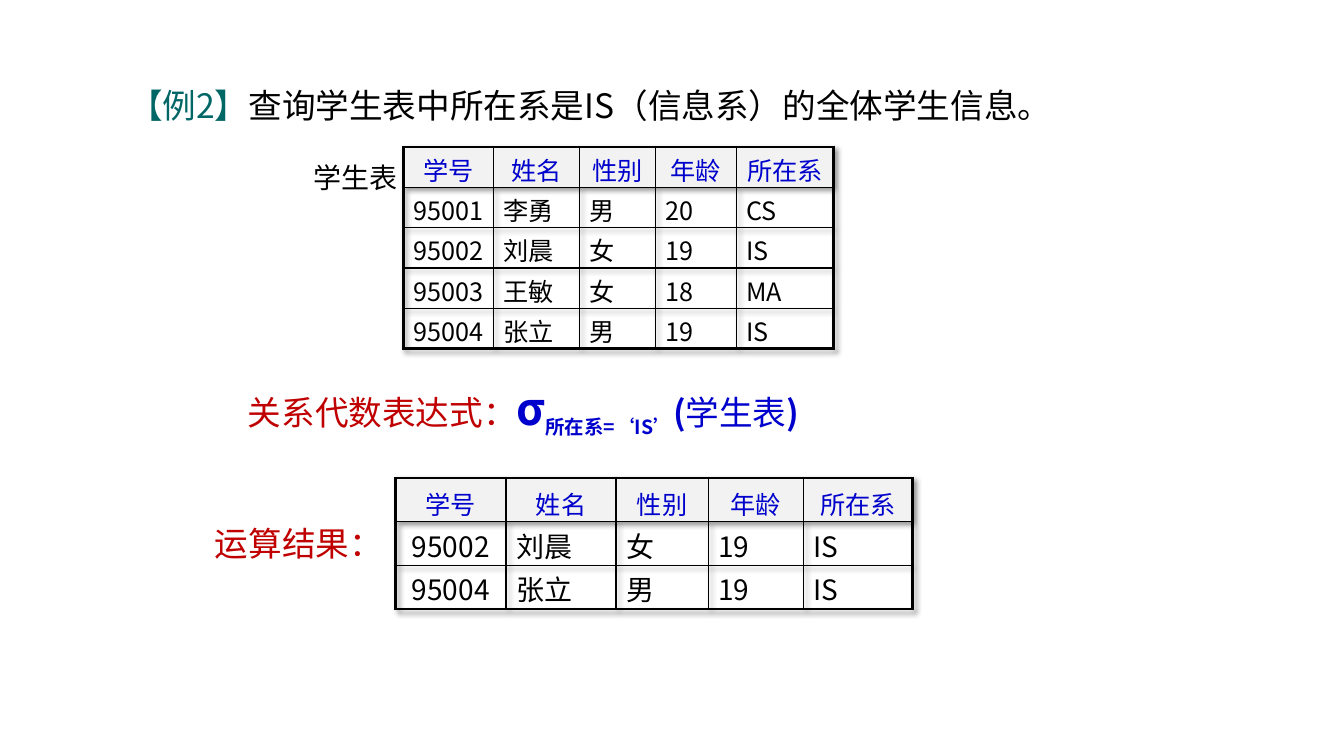
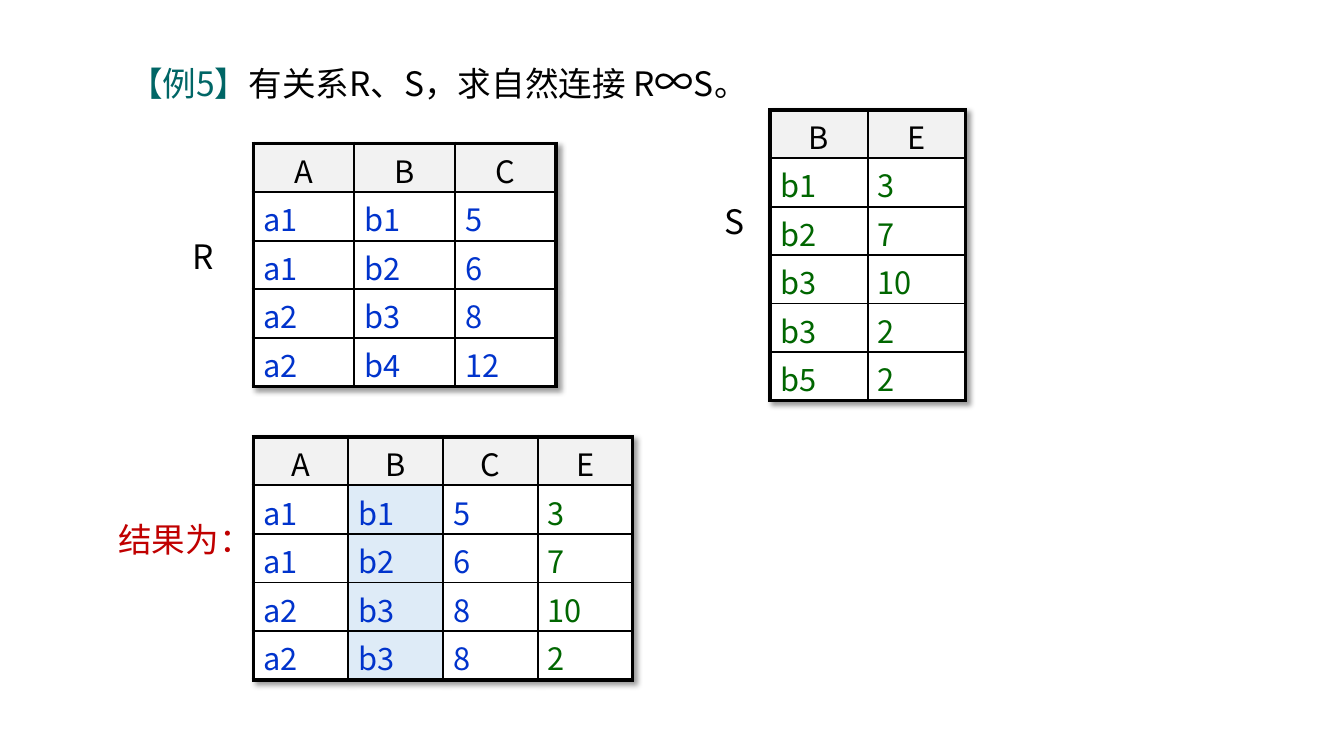
"""Build two slides on relational algebra: selection and natural join."""
from lxml.etree import SubElement
from pptx import Presentation
from pptx.dml.color import RGBColor
from pptx.enum.text import MSO_ANCHOR as Anchor, MSO_AUTO_SIZE as AutoSize, PP_ALIGN as Align
from pptx.oxml import parse_xml
from pptx.oxml.ns import nsdecls, qn
from pptx.util import Pt

FONT = "Noto Sans CJK SC"
BLACK, TEAL, RED, NAVY = "000000", "006666", "C00000", "0000CC"
BLUE, GREEN, GREY, PALE, WHITE = "0033CC", "006600", "F2F2F2", "DEEBF7", "FFFFFF"
SHADOW = (
    f'<a:effectLst {nsdecls("a")}><a:outerShdw blurRad="50800" dist="38100" dir="2700000">'
    '<a:srgbClr val="000000"><a:alpha val="40000"/></a:srgbClr></a:outerShdw></a:effectLst>'
)


def write(frame, spans, align=Align.LEFT):
    """Fill the first paragraph with (text, size, colour, extra formats) spans."""
    para = frame.paragraphs[0]
    para.alignment = align
    for text, size, colour, *extra in spans:
        span = para.add_run()
        span.text = text
        formats = {"size": Pt(size), "name": FONT, "bold": False} | (extra[0] if extra else {})
        baseline = formats.pop("baseline", None)
        for name, value in formats.items():
            setattr(span.font, name, value)
        span.font.color.rgb = RGBColor.from_string(colour)
        props = span._r.get_or_add_rPr()
        SubElement(props, qn("a:ea"), typeface=FONT)
        if baseline:
            props.set("baseline", baseline)


def draw_border(cell, side, width):
    """Draw one black border of a table cell."""
    line = SubElement(cell._tc.get_or_add_tcPr(), qn(f"a:ln{side}"), w=str(Pt(width)))
    fill = SubElement(line, qn("a:solidFill"))
    SubElement(fill, qn("a:srgbClr"), val=BLACK)


students = {
    "95001": ["李勇", "男", "20", "CS"],
    "95002": ["刘晨", "女", "19", "IS"],
    "95003": ["王敏", "女", "18", "MA"],
    "95004": ["张立", "男", "19", "IS"],
}
student_rows = [[number, *values] for number, values in students.items()]
student_style = {
    "header": ["学号", "姓名", "性别", "年龄", "所在系"], "header_size": 18,
    "header_colour": NAVY, "colours": [BLACK] * 5, "fills": [None] * 5,
    "first_align": Align.CENTER, "lines": (2.25, 1),
}
relation_style = {
    "header_size": 22, "size": 22, "header_colour": BLACK,
    "first_align": Align.LEFT, "lines": (3, 1.5),
}
bold = {"bold": True}

slides = [
    {
        "title": (85, 57, 807, 36),
        "heading": [("【例2】", 24, TEAL), ("查询学生表中所在系是IS（信息系）的全体学生信息。", 24, BLACK)],
        "labels": [
            ((145, 370, 137, 36), Align.CENTER, [("运算结果：", 24, RED)]),
            ((212, 111, 84, 36), Align.CENTER, [("学生表", 20, BLACK)]),
            ((170, 268.5, 552, 46), Align.LEFT, [
                ("关系代数表达式：", 24, RED),
                ("σ", 32, NAVY, bold),
                ("所在系=‘IS’", 24, NAVY, bold | {"baseline": "-25000"}),
                ("(", 24, NAVY, bold),
                ("学生表", 24, NAVY),
                (")", 24, NAVY, bold),
            ]),
        ],
        "tables": [
            student_style | {
                "place": (288, 105), "widths": [64.5, 61.5, 54, 58, 69.5], "height": 28.8,
                "size": 18, "rows": student_rows,
            },
            student_style | {
                "place": (282.5, 341.5), "widths": [79, 78.5, 66, 68, 78], "height": 31.2,
                "size": 20, "rows": [row for row in student_rows if row[-1] == "IS"],
            },
        ],
    },
    {
        "title": (85, 37.5, 505, 41),
        "heading": [
            ("【例5】", 24, TEAL), ("有关系R、S，求自然连接 R", 24, BLACK),
            ("∞", 28, BLACK), ("S。", 24, BLACK),
        ],
        "labels": [
            ((76, 367, 113, 42), Align.CENTER, [("结果为：", 24, RED)]),
            ((121, 165, 48, 42), Align.CENTER, [("R", 24, BLACK)]),
            ((501, 140, 48, 42), Align.CENTER, [("S", 24, BLACK)]),
        ],
        "tables": [
            relation_style | {
                "place": (181, 312), "widths": [67.7] * 4, "height": 34.7, "header": "ABCE",
                "colours": [BLUE, BLUE, BLUE, GREEN], "fills": [WHITE, PALE, WHITE, WHITE],
                "rows": [["a1", "b1", "5", "3"], ["a1", "b2", "6", "7"],
                         ["a2", "b3", "8", "10"], ["a2", "b3", "8", "2"]],
            },
            relation_style | {
                "place": (181, 102.5), "widths": [72] * 3, "height": 34.7, "header": "ABC",
                "colours": [BLUE] * 3, "fills": [WHITE] * 3,
                "rows": [["a1", "b1", "5"], ["a1", "b2", "6"],
                         ["a2", "b3", "8"], ["a2", "b4", "12"]],
            },
            relation_style | {
                "place": (550, 78.5), "widths": [69.8] * 2, "height": 34.6, "header": "BE",
                "colours": [GREEN] * 2, "fills": [WHITE] * 2,
                "rows": [["b1", "3"], ["b2", "7"], ["b3", "10"], ["b3", "2"], ["b5", "2"]],
            },
        ],
    },
]

deck = Presentation()
deck.slide_width, deck.slide_height = Pt(960), Pt(540)

for content in slides:
    page = deck.slides.add_slide(deck.slide_layouts[5])
    title = page.shapes.title
    for name, value in zip(("left", "top", "width", "height"), content["title"]):
        setattr(title, name, Pt(value))
    texts = [(title, Align.LEFT, content["heading"])]
    for place, align, spans in content["labels"]:
        texts.append((page.shapes.add_textbox(*map(Pt, place)), align, spans))
    for box, align, spans in texts:
        frame = box.text_frame
        settings = {"word_wrap": True, "auto_size": AutoSize.NONE, "vertical_anchor": Anchor.TOP}
        for name, value in settings.items():
            setattr(frame, name, value)
        write(frame, spans, align)

    for data in content["tables"]:
        rows = [data["header"], *data["rows"]]
        widths, height = data["widths"], data["height"]
        size = (sum(widths), height * len(rows))
        table = page.shapes.add_table(
            len(rows), len(widths), *map(Pt, data["place"] + size)
        ).table
        table.first_row = table.horz_banding = False
        table._tbl.tblPr.insert(0, parse_xml(SHADOW))
        for column, width in zip(table.columns, widths):
            column.width = Pt(width)
        outer, inner = data["lines"]
        for r, values in enumerate(rows):
            table.rows[r].height = Pt(height)
            for c, text in enumerate(values):
                cell = table.cell(r, c)
                layout = {"margin_top": 0, "margin_bottom": 0, "vertical_anchor": Anchor.BOTTOM}
                for name, value in layout.items():
                    setattr(cell, name, value)
                edges = {"L": c == 0, "R": c == len(widths) - 1,
                         "T": r == 0, "B": r == len(rows) - 1}
                for side, is_outer in edges.items():
                    draw_border(cell, side, outer if is_outer else inner)
                if r == 0:
                    fill, align = GREY, Align.CENTER
                    span = (text, data["header_size"], data["header_colour"])
                else:
                    fill = data["fills"][c]
                    align = data["first_align"] if c == 0 else Align.LEFT
                    span = (text, data["size"], data["colours"][c])
                if fill:
                    cell.fill.solid()
                    cell.fill.fore_color.rgb = RGBColor.from_string(fill)
                else:
                    cell.fill.background()
                write(cell.text_frame, [span], align)

deck.save("out.pptx")
